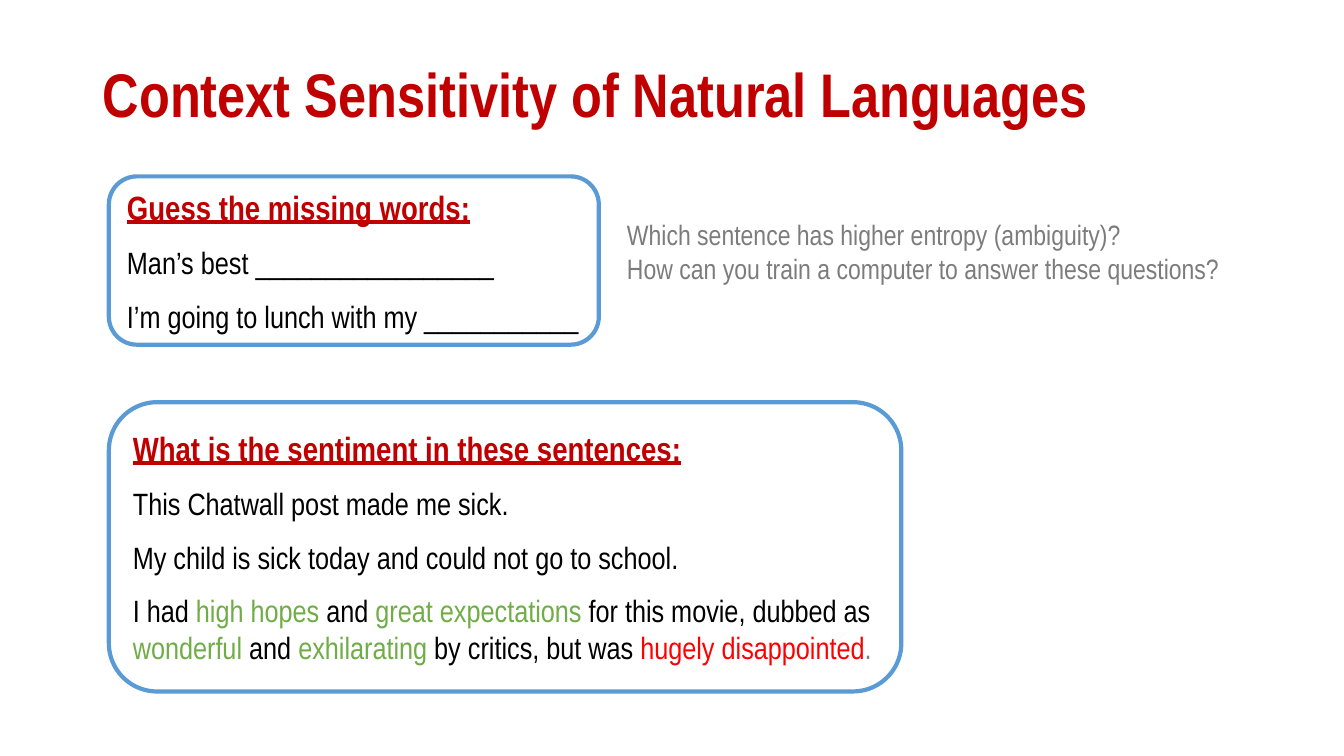
from pptx import Presentation
from pptx.dml.color import RGBColor
from pptx.enum.shapes import MSO_SHAPE
from pptx.enum.text import MSO_ANCHOR, MSO_AUTO_SIZE, PP_ALIGN
from pptx.util import Inches, Pt

FONT = "Arial Narrow"
COLORS = {
    "heading": "C00000",
    "border": "5B9BD5",
    "box": "FFFFFF",
    "text": "000000",
    "positive": "70AD47",
    "negative": "FF0000",
    "stop": "808080",
    "note": "7C7C7C",
}


def rgb(name):
    return RGBColor.from_string(COLORS[name])


def format_run(r, size, color, bold=False, underline=False):
    r.font.name = FONT
    r.font.size = Pt(size)
    r.font.color.rgb = rgb(color)
    r.font.bold = bold
    r.font.underline = underline


def set_title(s, text):
    sp = s.shapes.title
    sp.left, sp.top = Inches(0.92), Inches(0.4)
    sp.width, sp.height = Inches(11.5), Inches(1.14)
    tf = sp.text_frame
    tf.text = text
    tf.vertical_anchor = MSO_ANCHOR.MIDDLE
    p = tf.paragraphs[0]
    p.alignment = PP_ALIGN.LEFT
    p.line_spacing = 0.9
    format_run(p.runs[0], 44, "heading", bold=True)


def add_question_box(s, top, width, height, heading, sentences):
    sp = s.shapes.add_shape(MSO_SHAPE.ROUNDED_RECTANGLE, Inches(1.08),
                            Inches(top), Inches(width), Inches(height))
    sp.shadow.inherit = False
    sp.fill.solid()
    sp.fill.fore_color.rgb = rgb("box")
    sp.line.color.rgb = rgb("border")
    sp.line.width = Pt(3)
    tf = sp.text_frame
    tf.word_wrap = True
    tf.vertical_anchor = MSO_ANCHOR.MIDDLE
    tf.text = heading
    format_run(tf.paragraphs[0].runs[0], 24, "heading", bold=True, underline=True)
    for sentence in sentences:
        p = tf.add_paragraph()
        for text, color in sentence:
            r = p.add_run()
            r.text = text
            format_run(r, 22, color)
    for p in tf.paragraphs:
        p.alignment = PP_ALIGN.LEFT
        p.space_after = Pt(12)


def add_note(s, lines):
    sp = s.shapes.add_textbox(Inches(6.12), Inches(2.11), Inches(6.12), Inches(0.77))
    tf = sp.text_frame
    tf.word_wrap = False
    tf.auto_size = MSO_AUTO_SIZE.SHAPE_TO_FIT_TEXT
    tf.text = "\n".join(lines)
    for p in tf.paragraphs:
        format_run(p.runs[0], 20, "note")


def main():
    prs = Presentation()
    prs.slide_width, prs.slide_height = Inches(13.33), Inches(7.5)
    s = prs.slides.add_slide(prs.slide_layouts[5])
    set_title(s, "Context Sensitivity of Natural Languages")
    add_question_box(s, 1.75, 4.86, 1.67, "Guess the missing words:", [
        [("Man’s best _________________", "text")],
        [("I’m going to lunch with my ___________", "text")],
    ])
    add_question_box(s, 3.99, 7.86, 2.87, "What is the sentiment in these sentences:", [
        [("This Chatwall post made me sick.", "text")],
        [("My child is sick today and could not go to school.", "text")],
        [
            ("I had ", "text"),
            ("high hopes ", "positive"),
            ("and ", "text"),
            ("great expectations ", "positive"),
            ("for this movie, dubbed as ", "text"),
            ("wonderful", "positive"),
            (" and ", "text"),
            ("exhilarating", "positive"),
            (" by critics, but was ", "text"),
            ("hugely disappointed", "negative"),
            (".", "stop"),
        ],
    ])
    add_note(s, [
        "Which sentence has higher entropy (ambiguity)?",
        "How can you train a computer to answer these questions?",
    ])
    prs.save("out.pptx")


if __name__ == "__main__":
    main()
